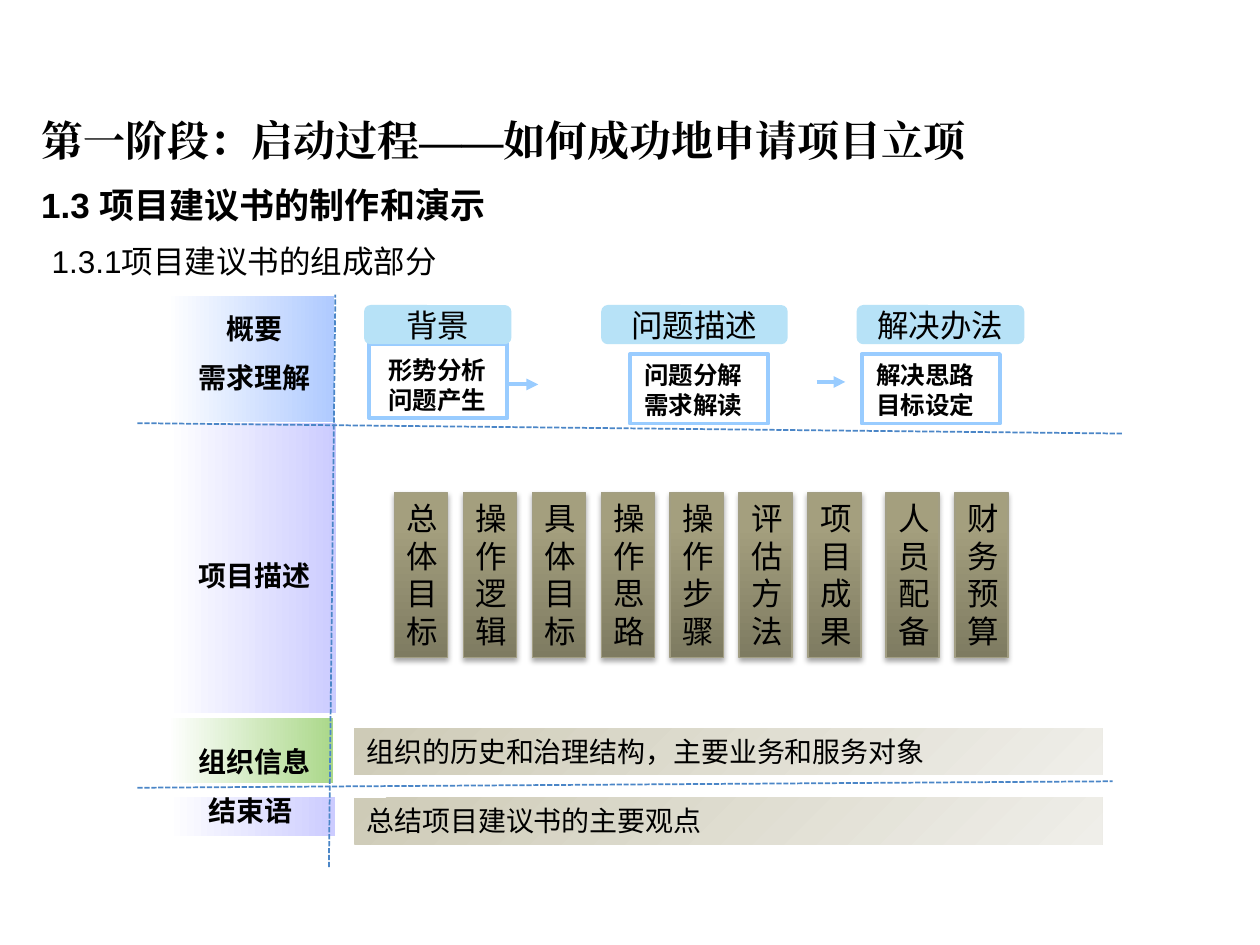
"""Build the slide on the parts of a project proposal."""
from lxml.etree import SubElement
from pptx import Presentation
from pptx.dml.color import RGBColor
from pptx.enum.dml import MSO_LINE
from pptx.enum.shapes import MSO_CONNECTOR, MSO_SHAPE as SHAPE
from pptx.enum.text import MSO_ANCHOR as ANCHOR, MSO_AUTO_SIZE as FIT, PP_ALIGN as ALIGN
from pptx.oxml.ns import qn
from pptx.util import Cm, Pt

SANS = "Noto Sans CJK SC"


def paint(fill, *colours):
    if len(colours) == 1:
        fill.solid()
        fill.fore_color.rgb = RGBColor.from_string(colours[0])
        return
    fill.gradient()
    for stop, colour in zip(fill.gradient_stops, colours):
        stop.color.rgb = RGBColor.from_string(colour)


def write(sp, text, font=SANS, size=16, bold=False, align=ALIGN.LEFT,
          anchor=ANCHOR.TOP, wrap=True, fit=FIT.SHAPE_TO_FIT_TEXT):
    tf = sp.text_frame
    tf.word_wrap, tf.auto_size, tf.vertical_anchor = wrap, fit, anchor
    p = tf.paragraphs[0]
    p.alignment = align
    r = p.add_run()
    r.text = text
    r.font.name, r.font.size, r.font.bold = font, Pt(size), bold
    paint(r.font.fill, "000000")
    SubElement(r.font._element, qn("a:ea"), typeface=font)


prs = Presentation()
prs.slide_width, prs.slide_height = Cm(25.4), Cm(19.05)
s = prs.slides.add_slide(prs.slide_layouts[5])
shapes = s.shapes

title = shapes.title
title.left, title.top, title.width, title.height = Cm(0.58), Cm(2.18), Cm(22.86), Cm(1.4)
write(title, "第一阶段：启动过程——如何成功地申请项目立项", font="Times New Roman",
      size=24, bold=True, fit=FIT.NONE)

sections = [
    (4.67, 14.76, 0.79, 3.4, "CCCCFF"),
    (4.39, 13.46, 1.32, 3.33, "ABD88A"),
    (3.78, 5.54, 2.54, 3.38, "AFCAFF"),
    (2.16, 9.75, 5.84, 3.4, "CCCCFF"),
]
for *box, colour in sections:
    sp = shapes.add_shape(SHAPE.RECTANGLE, *map(Cm, box))
    sp.rotation = 270
    sp.shadow.inherit = False
    sp.line.fill.background()
    paint(sp.fill, "FFFFFF", colour)
    sp.fill.gradient_angle = 270

steps = [
    ("背景", 7.34, 2.97, "形势分析问题产生", 7.34, 7.04, 2.95, 7.44, 6.93, 1.5),
    ("问题描述", 12.12, 3.76, "问题分解需求解读", 12.5, 7.14, 2.95, 12.7, 7.14, 1.4),
    ("解决办法", 17.27, 3.38, "解决思路目标设定", 17.27, 7.14, 2.77, 17.37, 7.14, 1.4),
]
for head, x, w, detail, text_x, text_y, text_w, frame_x, frame_y, frame_h in steps:
    tb = shapes.add_textbox(Cm(text_x), Cm(text_y), Cm(text_w), Cm(1.45))
    write(tb, detail, size=14, bold=True, align=ALIGN.CENTER)

    frame = shapes.add_shape(SHAPE.RECTANGLE, Cm(frame_x), Cm(frame_y), Cm(2.79), Cm(frame_h))
    frame.shadow.inherit = False
    frame.fill.background()
    paint(frame.line.fill, "99CCFF")
    frame.line.width = Pt(2.25)

    tab = shapes.add_shape(SHAPE.ROUNDED_RECTANGLE, Cm(x), Cm(6.15), Cm(w), Cm(0.79))
    tab.shadow.inherit = False
    tab.line.fill.background()
    paint(tab.fill, "B7E2F7")
    write(tab, head, size=18, align=ALIGN.CENTER, anchor=ANCHOR.MIDDLE, wrap=False, fit=FIT.NONE)

lines = [
    (2.77, 8.53, 22.63, 8.74, False),
    (6.63, 17.48, 6.76, 5.94, False),
    (2.77, 15.88, 22.43, 15.75, False),
    (10.24, 7.75, 10.85, 7.75, True),
    (16.46, 7.7, 17.04, 7.7, True),
]
for *ends, arrow in lines:
    cn = shapes.add_connector(MSO_CONNECTOR.STRAIGHT, *map(Cm, ends))
    paint(cn.line.fill, "99CCFF" if arrow else "4B86C7")
    cn.line.width = Pt(2.25 if arrow else 1)
    spPr = cn.element.spPr
    if arrow:
        SubElement(spPr.find(qn("a:ln")), qn("a:tailEnd"), type="triangle")
    else:
        cn.line.dash_style = MSO_LINE.SQUARE_DOT
    SubElement(spPr, qn("a:effectLst"))

parts = ["总体目标", "操作逻辑", "具体目标", "操作思路", "操作步骤", "评估方法",
         "项目成果", "人员配备", "财务预算"]
for i, part in enumerate(parts):
    x = 7.95 + 1.39 * i + (0.18 if i > 6 else 0)
    sp = shapes.add_shape(SHAPE.RECTANGLE, Cm(x), Cm(9.93), Cm(1.07), Cm(3.33))
    paint(sp.fill, "7E7B61", "A49F7E")
    sp.fill.gradient_angle = 90
    sp.fill.gradient_stops[1].position = 0.8
    paint(sp.line.fill, "A29E83")
    sp.line.width = Pt(0.75)
    sp.shadow.inherit = False
    shadow = SubElement(sp.element.spPr.find(qn("a:effectLst")), qn("a:outerShdw"),
                        blurRad=str(Pt(3.1)), dist=str(Pt(1.8)), dir="5400000", rotWithShape="0")
    black = SubElement(shadow, qn("a:srgbClr"), val="000000")
    SubElement(black, qn("a:alpha"), val="35000")
    write(sp, part, size=18, align=ALIGN.CENTER)

labels = [
    ("概要", 3.58, 6.15, 3.1, ALIGN.CENTER),
    ("需求理解", 3.58, 7.14, 3.1, ALIGN.CENTER),
    ("项目描述", 3.76, 11.13, 2.78, ALIGN.LEFT),
    ("组织信息", 3.76, 14.88, 2.78, ALIGN.LEFT),
    ("结束语", 3.96, 15.88, 2.79, ALIGN.LEFT),
]
for text, x, y, w, align in labels:
    tb = shapes.add_textbox(Cm(x), Cm(y), Cm(w), Cm(0.94))
    write(tb, text, bold=True, align=align)

for text, y in [("组织的历史和治理结构，主要业务和服务对象", 14.68),
                ("总结项目建议书的主要观点", 16.08)]:
    sp = shapes.add_shape(SHAPE.RECTANGLE, Cm(7.14), Cm(y), Cm(15.09), Cm(0.94))
    sp.shadow.inherit = False
    sp.line.fill.background()
    paint(sp.fill, "CECBB7", "EFEEE9")
    sp.fill.gradient_angle = 315
    write(sp, text, font="Arial")

headings = [
    ("1.3 项目建议书的制作和演示", 0.58, 3.58, 13.49, 1.12, 20, True),
    ("1.3.1项目建议书的组成部分", 0.79, 4.75, 12.9, 1.02, 18, False),
]
for text, *box, size, bold in headings:
    tb = shapes.add_textbox(*map(Cm, box))
    write(tb, text, font="Arial", size=size, bold=bold)

prs.save("out.pptx")
